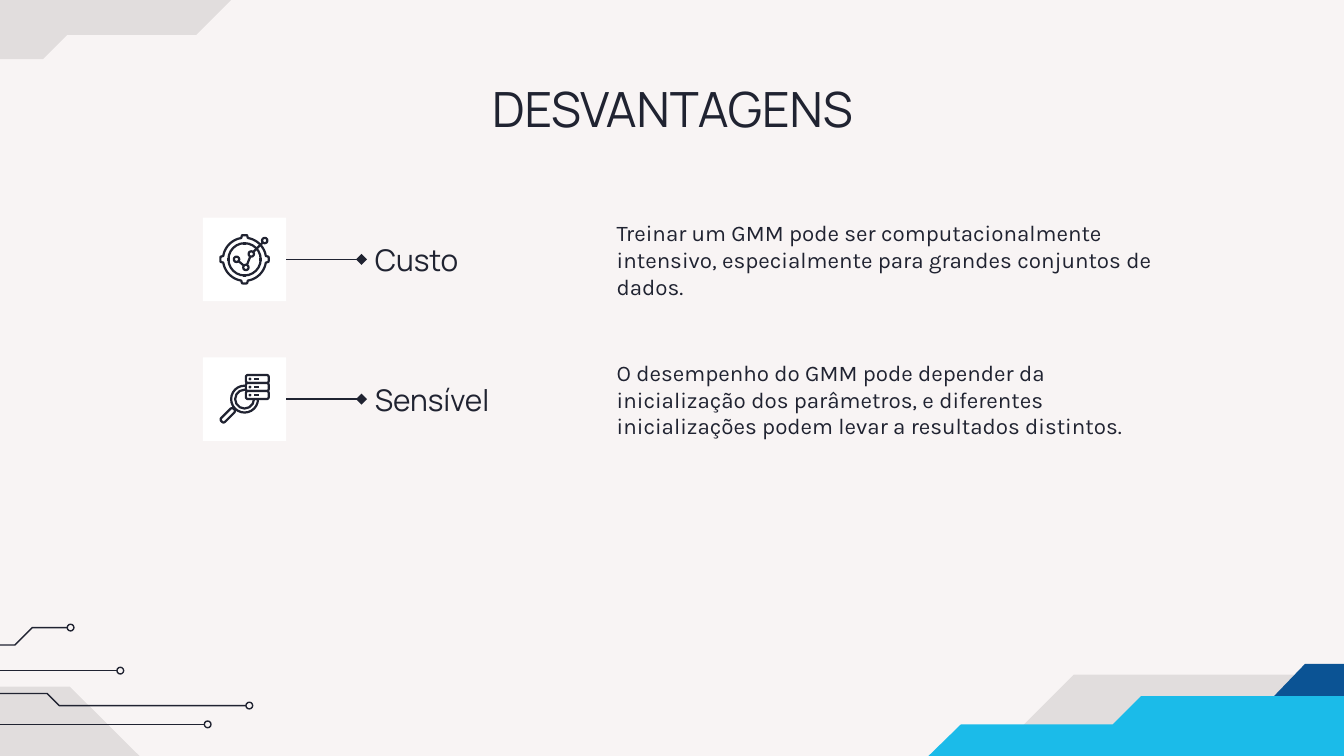
import math

import pptx
import pptx.util
from lxml import etree
from pptx.dml.color import RGBColor
from pptx.enum.shapes import MSO_CONNECTOR, MSO_SHAPE
from pptx.enum.text import MSO_ANCHOR, PP_ALIGN
from pptx.oxml.ns import qn
from pptx.util import Inches

INK = RGBColor(0x20, 0x23, 0x31)
PAPER = RGBColor(0xF8, 0xF4, 0xF4)
WHITE = RGBColor(0xFF, 0xFF, 0xFF)
BLACK = RGBColor(0x00, 0x00, 0x00)
NAVY = RGBColor(0x0B, 0x53, 0x94)
CYAN = RGBColor(0x1B, 0xBB, 0xE9)
HEADING_FONT, BODY_FONT = "Manrope", "Karla"

TITLE = "DESVANTAGENS"
DRAWBACKS = [
    ("Custo", 1.88, "Treinar um GMM pode ser computacionalmente intensivo, "
     "especialmente para grandes conjuntos de dados."),
    ("Sensível", 1.95, "O desempenho do GMM pode depender da inicialização dos parâmetros, "
     "e diferentes inicializações podem levar a resultados distintos."),
]
SLIDE_WIDTH = 10
SLIDE_HEIGHT = SLIDE_WIDTH * 9 / 16
FIRST_ROW, ROW_STEP, ROW_HEIGHT = 1.93, 1.04, 0.87
TILE_LEFT, TILE_SIZE = 1.51, 0.62
LABEL_LEFT, DETAIL_LEFT, DETAIL_WIDTH = 2.69, 4.49, 4.38

BANDS = [
    ([(9.82, 5.02), (9.82, 7.02), (5.98, 7.03), (7.99, 5.02)], BLACK, 9),
    ([(-1.04, 0.44), (-1.04, -1.49), (2.21, -1.49), (2.21, -0.08), (1.8, -0.08),
      (1.46, 0.26), (0.5, 0.26), (0.32, 0.44)], BLACK, 9),
    ([(-1.31, 5.11), (-1.31, 7.11), (2.54, 7.12), (0.52, 5.11)], BLACK, 9),
    ([(10.81, 4.94), (10.55, 5.2), (9.46, 5.2), (9.71, 4.94)], NAVY, 100),
    ([(10.1, 5.18), (10.1, 7.45), (6.25, 7.45), (6.25, 5.79), (6.74, 5.79),
      (7.15, 5.39), (8.28, 5.39), (8.49, 5.18)], CYAN, 100),
]
CIRCUITS = [
    [(-0.79, 4.99), (0.87, 4.99)],
    [(-1.16, 4.8), (0.11, 4.8), (0.24, 4.67), (0.5, 4.67)],
    [(-1.48, 5.16), (0.35, 5.16), (0.44, 5.25), (1.83, 5.25)],
    [(-1.72, 5.39), (1.52, 5.39)],
]
TERMINAL = 0.05

GRAPH = [(-0.06, 0), (0.01, 0.06), (0.05, -0.04), (0.15, -0.14)]
ICON_LINE = 1.2

prs = pptx.Presentation()
prs.slide_width, prs.slide_height = Inches(SLIDE_WIDTH), Inches(SLIDE_HEIGHT)
slide = prs.slides.add_slide(prs.slide_layouts[6])
slide.background.fill.solid()
slide.background.fill.fore_color.rgb = PAPER
shapes = slide.shapes


def paint(shape, fill=None, line=None, width=0.75, opacity=100):
    shape.shadow.inherit = False
    if fill is None:
        shape.fill.background()
    else:
        shape.fill.solid()
        shape.fill.fore_color.rgb = fill
        if opacity < 100:
            color = shape._element.spPr.find(qn("a:solidFill"))[0]
            etree.SubElement(color, qn("a:alpha")).set("val", str(opacity * 1000))
    if line is None:
        shape.line.fill.background()
    else:
        shape.line.color.rgb = line
        shape.line.width = pptx.util.Pt(width)
    return shape


def outline(points, closed=True):
    corners = [(Inches(x), Inches(y)) for x, y in points]
    builder = shapes.build_freeform(*corners[0])
    builder.add_line_segments(corners[1:], close=closed)
    return builder.convert_to_shape()


def preset(kind, left, top, width, height):
    return shapes.add_shape(kind, Inches(left), Inches(top), Inches(width), Inches(height))


def circle(x, y, radius):
    return preset(MSO_SHAPE.OVAL, x - radius, y - radius, 2 * radius, 2 * radius)


def straight(start, end, width=0.75):
    link = shapes.add_connector(MSO_CONNECTOR.STRAIGHT, *[Inches(v) for v in (*start, *end)])
    link.line.color.rgb = INK
    link.line.width = pptx.util.Pt(width)
    etree.SubElement(link._element.spPr, qn("a:effectLst"))
    return link


def write(text, left, top, width, height, font, size, align=PP_ALIGN.LEFT, anchor=MSO_ANCHOR.MIDDLE):
    box = shapes.add_textbox(Inches(left), Inches(top), Inches(width), Inches(height))
    frame = box.text_frame
    frame.word_wrap = True
    frame.vertical_anchor = anchor
    frame.margin_left = frame.margin_right = frame.margin_top = frame.margin_bottom = Inches(0.1)
    frame.text = text
    paragraph = frame.paragraphs[0]
    paragraph.alignment = align
    run_font = paragraph.runs[0].font
    run_font.name, run_font.size, run_font.color.rgb = font, pptx.util.Pt(size), INK
    return box


def draw_gauge(x, y):
    gear = []
    for degree in range(0, 360, 3):
        from_axis = min(degree % 90, 90 - degree % 90)
        radius = 0.18 if from_axis <= 6 else 0.16
        angle = math.radians(degree)
        gear.append((x + radius * math.cos(angle), y + radius * math.sin(angle)))
    paint(outline(gear), None, INK, ICON_LINE)
    paint(circle(x, y, 0.12), None, INK, ICON_LINE)
    for dx, dy in [(0, -1), (1, 0), (0, 1), (-1, 0)]:
        straight((x + 0.11 * dx, y + 0.11 * dy), (x + 0.13 * dx, y + 0.13 * dy), 1.5)
    nodes = [(x + dx, y + dy) for dx, dy in GRAPH]
    for start, end in zip(nodes, nodes[1:]):
        straight(start, end, ICON_LINE)
    for node in nodes:
        paint(circle(*node, 0.02), WHITE, INK, ICON_LINE)


def draw_data_search(x, y):
    for radius in (0.1, 0.07):
        paint(circle(x, y, radius), None, INK, ICON_LINE)
    straight((x - 0.07, y + 0.07), (x - 0.1, y + 0.1), ICON_LINE)
    handle = preset(MSO_SHAPE.ROUNDED_RECTANGLE, x - 0.19, y + 0.1, 0.13, 0.04)
    handle.adjustments[0] = 0.4
    handle.rotation = -45
    paint(handle, WHITE, INK, ICON_LINE)
    server_height = 0.06
    for level in range(3):
        top = y - 0.18 + level * server_height
        server = preset(MSO_SHAPE.ROUNDED_RECTANGLE, x + 0.01, top, 0.17, server_height)
        server.adjustments[0] = 0.25
        paint(server, WHITE, INK, ICON_LINE)
        middle = top + server_height / 2
        straight((x + 0.07, middle), (x + 0.11, middle), 1)
        paint(circle(x + 0.04, middle, 0.01), INK)


for points, color, opacity in BANDS:
    paint(outline(points), color, opacity=opacity)

for track in CIRCUITS:
    if len(track) == 2:
        straight(*track)
    else:
        paint(outline(track, closed=False), None, INK)
    end_x, end_y = track[-1]
    paint(circle(end_x + TERMINAL / 2, end_y, TERMINAL / 2), None, INK)

write(TITLE, 0.79, 0.49, 8.43, 0.63, HEADING_FONT, 26, PP_ALIGN.CENTER, MSO_ANCHOR.TOP)

for row, (name, name_width, detail) in enumerate(DRAWBACKS):
    center = FIRST_ROW + row * ROW_STEP
    top = center - ROW_HEIGHT / 2
    write(detail, DETAIL_LEFT, top, DETAIL_WIDTH, ROW_HEIGHT, BODY_FONT, 12)
    label = write(name, LABEL_LEFT, top, name_width, ROW_HEIGHT, HEADING_FONT, 16)
    tile = paint(preset(MSO_SHAPE.RECTANGLE, TILE_LEFT, center - TILE_SIZE / 2, TILE_SIZE, TILE_SIZE), WHITE)
    draw_icon = (draw_gauge, draw_data_search)[row]
    draw_icon(TILE_LEFT + TILE_SIZE / 2, center)
    link = straight((TILE_LEFT + TILE_SIZE, center), (LABEL_LEFT, center))
    link.begin_connect(tile, 3)
    link.end_connect(label, 1)
    etree.SubElement(link.line._get_or_add_ln(), qn("a:tailEnd")).set("type", "diamond")

prs.save("out.pptx")
